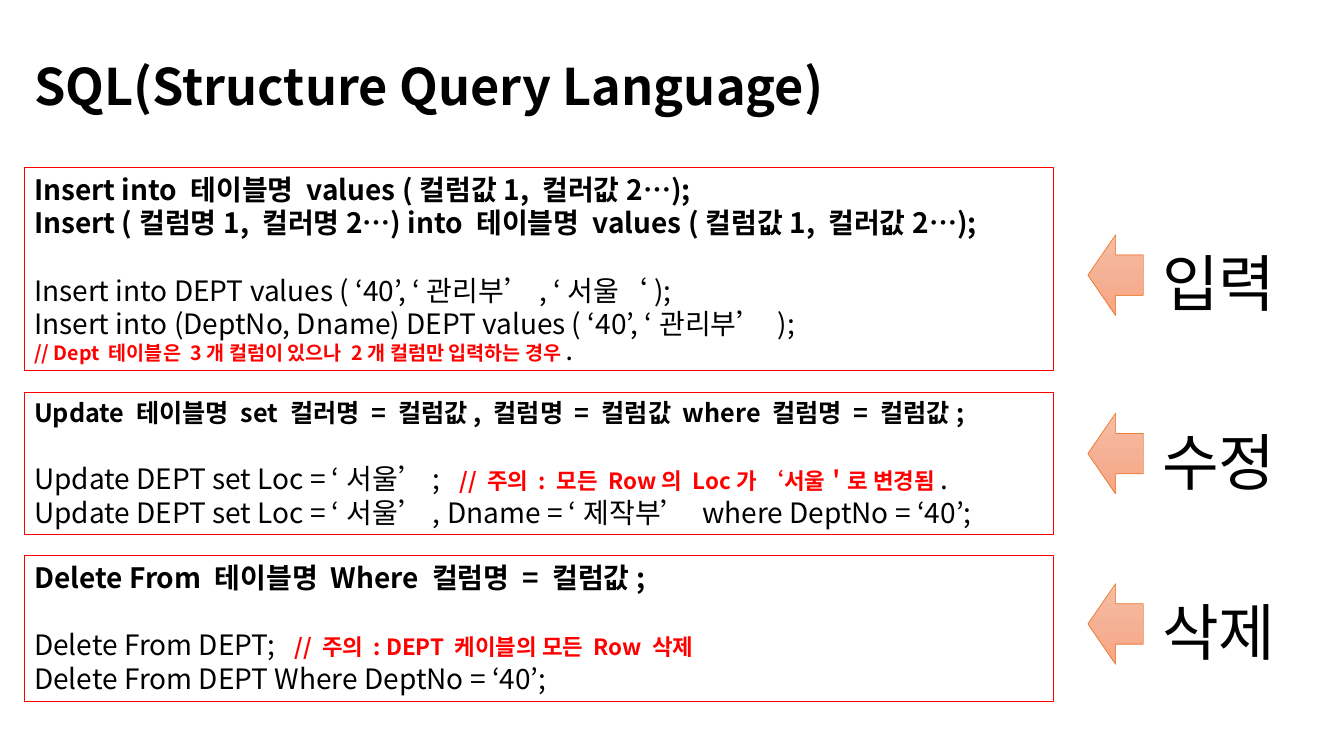
from collections import namedtuple
from copy import deepcopy

from lxml import etree
from pptx import Presentation
from pptx import util as u
from pptx.dml.color import RGBColor
from pptx.enum import shapes, text
from pptx.oxml.ns import qn

PX = 9144  # 100 px to the inch

Style = namedtuple("Style", "size bold color")
Box = namedtuple("Box", "left top width height")


class Theme:
    font = "Noto Sans CJK KR"
    red = "FF0000"
    arrow_line = "ED7D31"
    arrow_stops = ((0, "F7BDA5"), (0.5, "F5B196"), (1, "F8A582"))
    line_height = 1.2
    title = Style(36, True, "000000")
    syntax = Style(20, True, "000000")
    long_syntax = Style(18, True, "000000")
    example = Style(20, False, "000000")
    warning = Style(16, True, red)
    remark = Style(14, True, red)
    remark_end = Style(14, True, "000000")
    label = Style(44, False, "000000")


# Each statement: label, box height, arrow offset, syntax lines, example lines
STATEMENTS = [
    ("입력", 202, 67,
     [[("Insert into 테이블명 values (컬럼값1, 컬러값2…);", Theme.syntax)],
      [("Insert (컬럼명1, 컬러명2…) into 테이블명 values (컬럼값1, 컬러값2…);", Theme.syntax)]],
     [[("Insert into DEPT values ( ‘40’, ‘관리부’, ‘서울‘);", Theme.example)],
      [("Insert into (DeptNo, Dname) DEPT values ( ‘40’, ‘관리부’ );", Theme.example)],
      [("// Dept 테이블은 3개 컬럼이 있으나 2개 컬럼만 입력하는 경우", Theme.remark),
       (".", Theme.remark_end)]]),
    ("수정", 141, 21,
     [[("Update 테이블명 set 컬러명 = 컬럼값, 컬럼명 = 컬럼값 where 컬럼명 = 컬럼값;",
        Theme.long_syntax)]],
     [[("Update DEPT set Loc = ‘서울’;   ", Theme.example),
       ("// 주의 : 모든 Row의 Loc가 ‘서울＇로 변경됨", Theme.warning),
       (".", Theme.example)],
      [("Update DEPT set Loc = ‘서울’, Dname = ‘제작부’ where DeptNo = ‘40’;", Theme.example)]]),
    ("삭제", 145, 28,
     [[("Delete From 테이블명 Where 컬럼명 = 컬럼값;", Theme.syntax)]],
     [[("Delete From DEPT;   ", Theme.example),
       ("// 주의 : DEPT 케이블의 모든 Row 삭제", Theme.warning)],
      [("Delete From DEPT Where DeptNo = ‘40’;", Theme.example)]]),
]


def emu(box):
    return [length * PX for length in box]


def add_span(para, words, style):
    span = para.add_run()
    span.text = words
    span.font.name = Theme.font
    span.font.size = u.Pt(style.size)
    span.font.bold = style.bold
    span.font.color.rgb = RGBColor.from_string(style.color)
    east_asian = etree.SubElement(span.font._element, qn("a:ea"))
    east_asian.set("typeface", Theme.font)


def write_lines(frame, lines):
    frame.word_wrap = True
    frame.auto_size = text.MSO_AUTO_SIZE.NONE
    frame.vertical_anchor = text.MSO_ANCHOR.TOP
    for index, spans in enumerate(lines):
        para = frame.paragraphs[0] if index == 0 else frame.add_paragraph()
        para.alignment = text.PP_ALIGN.LEFT
        tallest = max(style.size for _, style in spans)
        para.line_spacing = u.Pt(round(tallest * Theme.line_height))
        for words, style in spans:
            add_span(para, words, style)


def place_title(page, box, words):
    title = page.shapes.title
    title.left, title.top, title.width, title.height = emu(box)
    frame = title.text_frame
    frame.word_wrap = True
    frame.auto_size = text.MSO_AUTO_SIZE.NONE
    frame.vertical_anchor = text.MSO_ANCHOR.MIDDLE
    para = frame.paragraphs[0]
    para.alignment = text.PP_ALIGN.LEFT
    para.line_spacing = 0.9
    add_span(para, words, Theme.title)


def place_statement(page, box, syntax, examples):
    panel = page.shapes.add_shape(shapes.MSO_SHAPE.RECTANGLE, *emu(box))
    panel.shadow.inherit = False
    panel.fill.background()
    panel.line.color.rgb = RGBColor.from_string(Theme.red)
    panel.line.width = u.Pt(0.75)
    write_lines(panel.text_frame, syntax + examples)
    # One line of space separates the syntax from its examples
    first_example = panel.text_frame.paragraphs[len(syntax)]
    first_example.space_before = u.Pt(Theme.example.size * Theme.line_height)


def fill_arrow(arrow):
    arrow.fill.gradient()
    arrow.fill.gradient_angle = 270
    stop_list = arrow.element.spPr.find(".//" + qn("a:gsLst"))
    stop_list.append(deepcopy(stop_list[-1]))
    for stop, (position, color) in zip(arrow.fill.gradient_stops, Theme.arrow_stops):
        stop.position = position
        stop.color.rgb = RGBColor.from_string(color)


def place_label(page, box, words):
    group = page.shapes.add_group_shape()
    # Label to the right of the arrow
    label_box = Box(box.left + 64, box.top + 5, box.width - 64, box.height - 5)
    label = group.shapes.add_textbox(*emu(label_box))
    write_lines(label.text_frame, [[(words, Theme.label)]])
    # Arrow pointing at the statement
    arrow = group.shapes.add_shape(
        shapes.MSO_SHAPE.LEFT_ARROW, *emu(Box(box.left, box.top, 55, 80)))
    arrow.shadow.inherit = False
    fill_arrow(arrow)
    arrow.line.color.rgb = RGBColor.from_string(Theme.arrow_line)
    arrow.line.width = u.Pt(0.5)


def main():
    deck = Presentation()
    deck.slide_width, deck.slide_height = 1333 * PX, 750 * PX
    page = deck.slides.add_slide(deck.slide_layouts[5])
    place_title(page, Box(24, 40, 1280, 97), "SQL(Structure Query Language)")

    # Statements stacked with equal gaps
    top, gap = 166, 21
    for label, height, arrow_offset, syntax, examples in STATEMENTS:
        place_statement(page, Box(24, top, 1021, height), syntax, examples)
        place_label(page, Box(1079, top + arrow_offset, 210, 89), label)
        top += height + gap

    deck.save("out.pptx")


if __name__ == "__main__":
    main()
